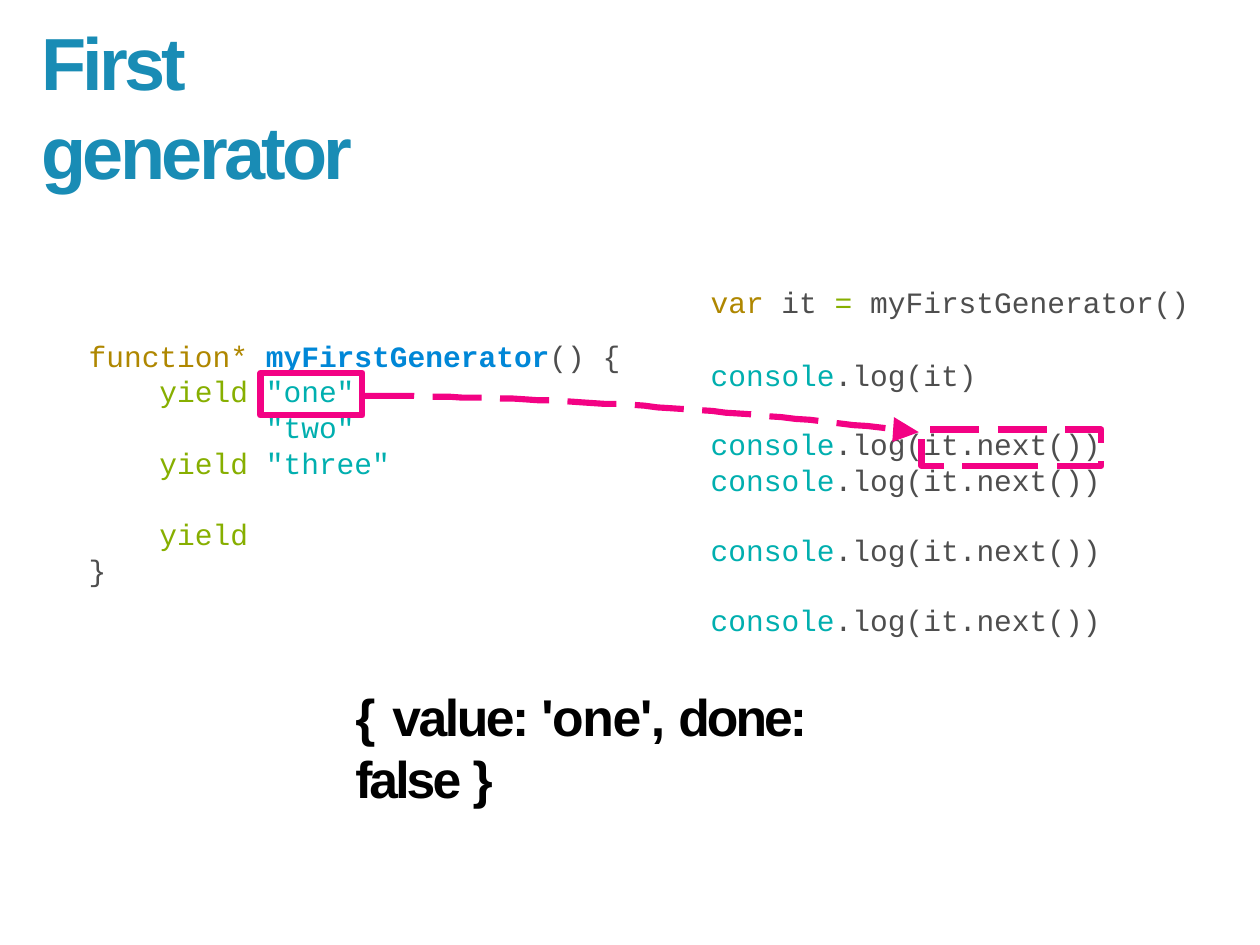
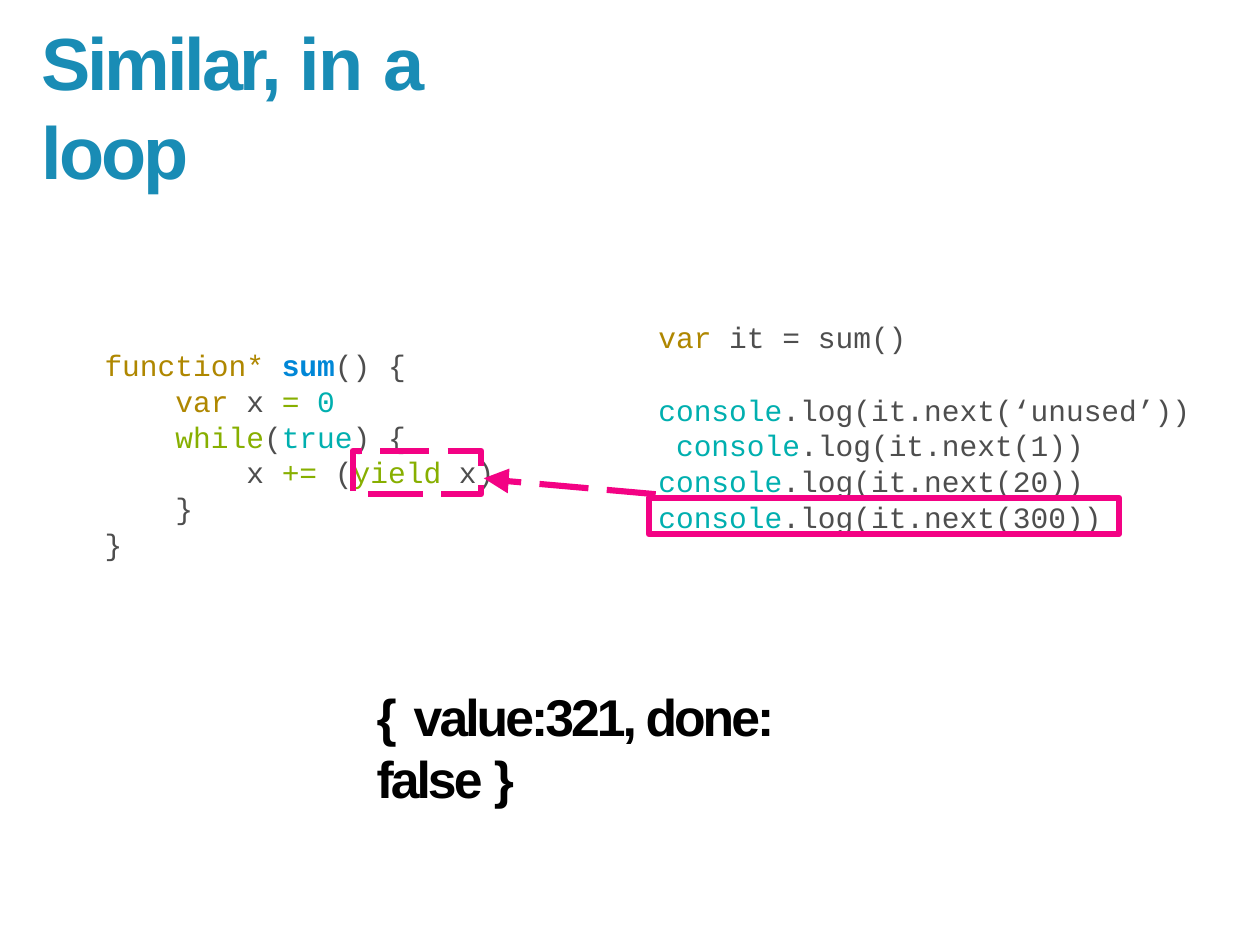
from pptx import Presentation
from pptx import util as u
from pptx.dml.color import RGBColor
from pptx.enum import dml, shapes
from pptx.oxml.ns import qn
from lxml import etree
import math

PX = 9144  # 100 px to the inch
TITLE, BLACK, PINK = "198CB5", "000000", "F30284"
KEYWORD, NAME, COMMAND, VALUE, PLAIN = "AF8700", "0087D7", "87AF00", "00AFAF", "4E4E4E"
CODE_SIZE, CODE_PITCH = 24, 29
STROKE = 5


def px(*lengths):
    return [u.Emu(round(length * PX)) for length in lengths]


def rgb(color):
    return RGBColor.from_string(color)


def add_text_frame(slide, box):
    frame = slide.shapes.add_textbox(*px(*box)).text_frame
    frame.word_wrap = True
    frame.margin_left = frame.margin_right = frame.margin_bottom = 0
    frame.margin_top = px(2)[0]
    return frame


def add_run(paragraph, content, font, size, color, bold=False, tracking=0):
    """Add one run; tracking is the letter spacing in points."""
    run = paragraph.add_run()
    run.text = content
    run.font.name = font
    run.font.size = u.Pt(size)
    run.font.bold = bold
    run.font.color.rgb = rgb(color)
    if tracking:
        run.font._element.set("spc", str(round(tracking * 100)))


def add_headline(slide, box, size, color, parts):
    """Place bold text made of (content, tracking) parts."""
    paragraph = add_text_frame(slide, box).paragraphs[0]
    paragraph.line_spacing = u.Pt(size * 1.2)
    for content, tracking in parts:
        add_run(paragraph, content, "Arial", size, color, True, tracking)


def add_code(slide, box, lines):
    """Place code; each line is its space before and its (content, color) parts."""
    frame = add_text_frame(slide, box)
    for index, (space_before, *parts) in enumerate(lines):
        paragraph = frame.add_paragraph() if index else frame.paragraphs[0]
        paragraph.line_spacing = u.Pt(CODE_PITCH)
        paragraph.space_before = u.Pt(space_before)
        for content, color in parts:
            add_run(paragraph, content, "Courier New", CODE_SIZE, color, color == NAME)


def log_line(space_before, argument, indent=""):
    return (space_before, (indent + "console", VALUE), (f".log({argument})", PLAIN))


def style_line(line, dashed):
    line.color.rgb = rgb(PINK)
    line.width = u.Pt(STROKE)
    if dashed:
        line.dash_style = dml.MSO_LINE.LONG_DASH


def add_highlight(slide, box, dashed=False):
    frame = slide.shapes.add_shape(shapes.MSO_SHAPE.RECTANGLE, *px(*box))
    frame.shadow.inherit = False
    frame.fill.background()
    style_line(frame.line, dashed)


def add_outline(slide, points, closed):
    builder = slide.shapes.build_freeform(*points[0], scale=PX)
    builder.add_line_segments(points[1:], close=closed)
    shape = builder.convert_to_shape()
    shape.shadow.inherit = False
    return shape


def add_arrowhead(slide, base, tip, half_width=14):
    (base_x, base_y), (tip_x, tip_y) = base, tip
    length = math.dist(base, tip)
    side_x = (base_y - tip_y) / length * half_width
    side_y = (tip_x - base_x) / length * half_width
    corners = [(base_x + side_x, base_y + side_y), tip, (base_x - side_x, base_y - side_y)]
    head = add_outline(slide, corners, True)
    head.fill.solid()
    head.fill.fore_color.rgb = rgb(PINK)
    head.line.fill.background()


def add_curved_shaft(slide, start, control, end, steps=40):
    """Draw a dashed quadratic curve."""
    points = []
    for step in range(steps + 1):
        t = step / steps
        points.append(tuple((1 - t) ** 2 * a + 2 * t * (1 - t) * b + t ** 2 * c
                            for a, b, c in zip(start, control, end)))
    shaft = add_outline(slide, points, False)
    shaft.fill.background()
    style_line(shaft.line, True)


def add_straight_shaft(slide, start, end):
    shaft = slide.shapes.add_connector(shapes.MSO_CONNECTOR.STRAIGHT, *px(*start, *end))
    etree.SubElement(shaft._element.spPr, qn("a:effectLst"))
    style_line(shaft.line, True)


def add_example(presentation, title, title_width, definition, calls, result):
    """Add a slide; definition, calls and result are (box, content) pairs."""
    slide = presentation.slides.add_slide(presentation.slide_layouts[6])
    add_headline(slide, (47, 17, title_width, 203), 60, TITLE, title)
    add_code(slide, *definition)
    add_code(slide, *calls)
    result_box, result_parts = result
    add_headline(slide, result_box, 42, BLACK, result_parts)
    return slide


def add_first_generator(presentation):
    definition = [
        (0, ("function* ", KEYWORD), ("myFirstGenerator", NAME), ("() {", PLAIN)),
        (0, ("    yield ", COMMAND), ('"one"', VALUE)),
        (0, ('          "two"', VALUE)),
        (0, ("    yield ", COMMAND), ('"three"', VALUE)),
        (CODE_PITCH, ("    yield", COMMAND)),
        (0, ("}", PLAIN)),
    ]
    calls = [
        (0, ("var ", KEYWORD), ("it ", PLAIN), ("= ", COMMAND), ("myFirstGenerator()", PLAIN)),
        log_line(31, "it"),
        *[log_line(gap, "it.next()") for gap in (27, 0, 28, 28)],
    ]
    slide = add_example(
        presentation, [("First ", -3.1), ("generator", -3)], 484,
        ((100, 379, 620, 290), definition),
        ((802, 318, 560, 410), calls),
        ((401, 771, 600, 145), [("{ ", 1.1), ("value: ", -2), ("'one', ", -1.1),
                                ("done: false ", -2.4), ("}", 1.1)]))
    add_highlight(slide, (294, 421, 115, 48))
    add_highlight(slide, (1040, 485, 203, 41), dashed=True)
    add_curved_shaft(slide, (412, 447), (682, 447), (1012, 485))
    add_arrowhead(slide, (1008, 485), (1037, 488))


def add_loop(presentation):
    definition = [
        (0, ("function* ", KEYWORD), ("sum", NAME), ("() {", PLAIN)),
        (0, ("    var ", KEYWORD), ("x ", PLAIN), ("= ", COMMAND), ("0", VALUE)),
        (0, ("    while", COMMAND), ("(", PLAIN), ("true", VALUE), (") {", PLAIN)),
        (0, ("        x ", PLAIN), ("+= ", COMMAND), ("(", PLAIN), ("yield ", COMMAND),
         ("x)", PLAIN)),
        (0, ("    }", PLAIN)),
        (0, ("}", PLAIN)),
    ]
    calls = [
        (0, ("var ", KEYWORD), ("it = sum()", PLAIN)),
        log_line(30, "it.next(‘unused’)"),
        log_line(0, "it.next(1)", indent=" "),
        log_line(0, "it.next(20)"),
        log_line(0, "it.next(300)"),
    ]
    slide = add_example(
        presentation, [("Similar, ", -2.6), ("in ", -0.9), ("a ", -5.4), ("loop", -2.5)], 558,
        ((118, 390, 480, 250), definition),
        ((743, 358, 640, 250), calls),
        ((425, 771, 560, 145), [("{ ", 1.1), ("value:321, done: false ", -2.4), ("}", 1.1)]))
    add_highlight(slide, (732, 562, 531, 41))
    add_highlight(slide, (398, 509, 145, 49), dashed=True)
    add_straight_shaft(slide, (740, 558), (570, 543))
    add_arrowhead(slide, (574, 543), (546, 540))


def main():
    presentation = Presentation()
    presentation.slide_width, presentation.slide_height = px(1422, 1067)
    add_first_generator(presentation)
    add_loop(presentation)
    presentation.save("out.pptx")


if __name__ == "__main__":
    main()
